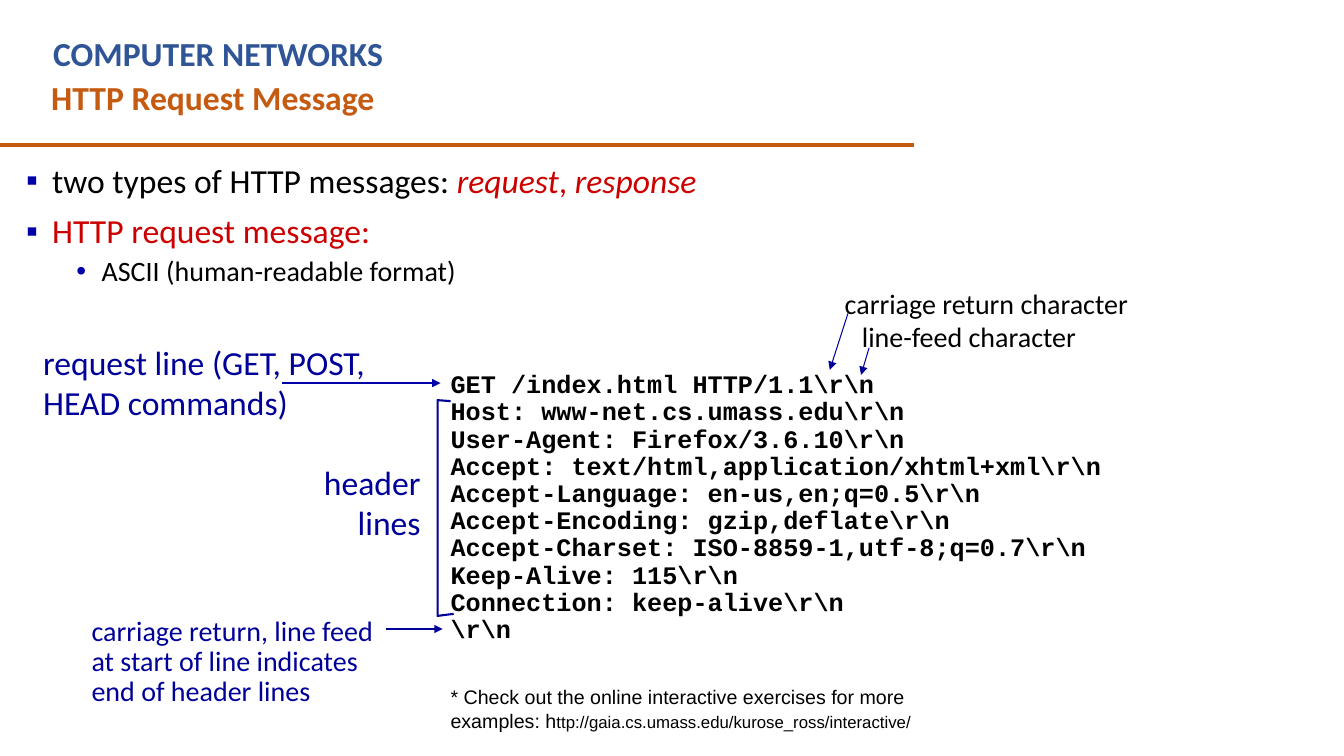
from lxml import etree
from pptx import Presentation
from pptx.dml.color import RGBColor
from pptx.enum.shapes import MSO_CONNECTOR
from pptx.enum.text import PP_ALIGN
from pptx.oxml.ns import qn
from pptx.util import Inches, Pt

STRAIGHT = MSO_CONNECTOR.STRAIGHT
RIGHT = PP_ALIGN.RIGHT

BLACK = RGBColor(0x00, 0x00, 0x00)
ORANGE = RGBColor(0xC5, 0x5A, 0x11)
TITLE_BLUE = RGBColor(0x2F, 0x55, 0x97)
NAVY = RGBColor(0x00, 0x00, 0x99)
ARROW_BLUE = RGBColor(0x00, 0x00, 0xA8)
RED = RGBColor(0xCC, 0x00, 0x00)

REQUEST_LINES = [
    r"GET /index.html HTTP/1.1\r\n",
    r"Host: www-net.cs.umass.edu\r\n",
    r"User-Agent: Firefox/3.6.10\r\n",
    r"Accept: text/html,application/xhtml+xml\r\n",
    r"Accept-Language: en-us,en;q=0.5\r\n",
    r"Accept-Encoding: gzip,deflate\r\n",
    r"Accept-Charset: ISO-8859-1,utf-8;q=0.7\r\n",
    r"Keep-Alive: 115\r\n",
    r"Connection: keep-alive\r\n",
    r"\r\n",
]


def add_run(paragraph, text, size, color, font="Calibri", bold=False, italic=False):
    """Append one formatted run to a paragraph."""
    run = paragraph.add_run()
    run.text = text
    run.font.name = font
    run.font.size = Pt(size)
    run.font.color.rgb = color
    run.font.bold = bold
    run.font.italic = italic


def set_indent(paragraph, margin, hanging):
    """Give a paragraph a left margin and a hanging first line."""
    properties = paragraph._p.get_or_add_pPr()
    properties.set("marL", str(Inches(margin)))
    properties.set("indent", str(-Inches(hanging)))
    return properties


def set_bullet(paragraph, character, color, margin, hanging):
    """Give a paragraph a coloured bullet character."""
    properties = set_indent(paragraph, margin, hanging)
    bullet_color = etree.SubElement(properties, qn("a:buClr"))
    etree.SubElement(bullet_color, qn("a:srgbClr")).set("val", str(color))
    etree.SubElement(properties, qn("a:buFont")).set("typeface", "Arial")
    etree.SubElement(properties, qn("a:buChar")).set("char", character)


def add_text_frame(slide, left, top, width, height, wrap=True):
    """Add an empty text box and return its text frame."""
    shape = slide.shapes.add_textbox(Inches(left), Inches(top), Inches(width), Inches(height))
    shape.text_frame.word_wrap = wrap
    return shape.text_frame


def add_lines(frame, lines, size, color, font="Calibri", bold=False,
              align=None, spacing=None, hanging=0):
    """Fill a text frame with one paragraph for each line."""
    for index, text in enumerate(lines):
        paragraph = frame.add_paragraph() if index else frame.paragraphs[0]
        if hanging:
            set_indent(paragraph, hanging, hanging)
        if align is not None:
            paragraph.alignment = align
        if spacing:
            paragraph.line_spacing = spacing
        add_run(paragraph, text, size, color, font, bold)


def add_line(slide, start, end, color, width, arrow=False):
    """Draw a straight line, with an arrowhead at its end if asked."""
    points = [Inches(value) for value in (*start, *end)]
    connector = slide.shapes.add_connector(STRAIGHT, *points)
    connector.line.color.rgb = color
    connector.line.width = Pt(width)
    if arrow:
        outline = connector.line._get_or_add_ln()
        etree.SubElement(outline, qn("a:tailEnd")).set("type", "triangle")
    etree.SubElement(connector._element.spPr, qn("a:effectLst"))


def add_header(slide, left, top):
    """Place the course name, the topic and the rule under them."""
    add_lines(add_text_frame(slide, left + 0.43, top, 8.2, 0.5),
              ["COMPUTER NETWORKS"], 24, TITLE_BLUE, bold=True)
    add_lines(add_text_frame(slide, left + 0.41, top + 0.43, 8.75, 0.5),
              ["HTTP Request Message"], 24, ORANGE, bold=True)
    add_line(slide, (left, top + 1.16), (left + 9.07, top + 1.16), ORANGE, 3)


def add_bullets(slide, left, top, width, height):
    """Place the introductory bullet list."""
    frame = add_text_frame(slide, left, top, width, height)
    bullets = [
        ("▪", 0.26, 0.26, 0, 24, [("two types of HTTP messages: ", BLACK, False),
                                  ("request", RED, True), (", ", RED, False),
                                  ("response", RED, True)]),
        ("▪", 0.26, 0.26, 10, 24, [("HTTP request message:", RED, False)]),
        ("•", 0.75, 0.25, 5, 20, [("ASCII (human-readable format)", BLACK, False)]),
    ]
    for index, (character, margin, hanging, before, size, runs) in enumerate(bullets):
        paragraph = frame.add_paragraph() if index else frame.paragraphs[0]
        paragraph.line_spacing = 0.9
        paragraph.space_before = Pt(before)
        set_bullet(paragraph, character, ARROW_BLUE, margin, hanging)
        for text, color, italic in runs:
            add_run(paragraph, text, size, color, italic=italic)


def add_bracket(slide, left, top, height):
    """Draw the open bracket that spans the header lines."""
    corners = [(left, top), (left, top + height), (left + 0.16, top + height - 0.02)]
    builder = slide.shapes.build_freeform(Inches(left + 0.13), Inches(top + 0.01))
    builder.add_line_segments([(Inches(x), Inches(y)) for x, y in corners], close=False)
    bracket = builder.convert_to_shape()
    bracket.shadow.inherit = False
    bracket.fill.background()
    bracket.line.color.rgb = NAVY
    bracket.line.width = Pt(1.5)


def add_message(slide, left, top):
    """Place the request text with the labels at its left side."""
    add_lines(add_text_frame(slide, left - 4.04, top - 0.3, 3.46, 0.91),
              ["request line (GET, POST,", "HEAD commands)"], 24, NAVY)
    add_bracket(slide, left - 0.03, top + 0.33, 2.14)
    add_lines(add_text_frame(slide, left - 1.27, top + 0.89, 1.17, 0.91, wrap=False),
              ["header", "lines"], 24, NAVY, align=RIGHT)
    add_line(slide, (left - 0.54, top + 2.6), (left + 0.02, top + 2.6), NAVY, 1.5, arrow=True)
    add_lines(add_text_frame(slide, left - 3.56, top + 2.43, 3.03, 1.01),
              ["carriage return, line feed at start of line indicates end of header lines"],
              20, NAVY, spacing=0.9)
    add_lines(add_text_frame(slide, left, top, 6.72, 2.83, wrap=False), REQUEST_LINES,
              18, BLACK, "Courier New", bold=True, spacing=0.9, hanging=0.38)
    add_line(slide, (left - 1.57, top + 0.16), (left, top + 0.16), ARROW_BLUE, 1.5, arrow=True)


def add_line_end_labels(slide, left, top):
    """Place the labels that point at the line-ending characters."""
    add_line(slide, (left + 0.13, top + 0.32), (left - 0.05, top + 0.88), NAVY, 0.75, arrow=True)
    add_lines(add_text_frame(slide, left, top, 3.04, 0.44, wrap=False),
              ["carriage return character"], 20, BLACK, hanging=0.38)
    add_lines(add_text_frame(slide, left + 0.17, top + 0.33, 2.35, 0.44, wrap=False),
              ["line-feed character"], 20, BLACK, hanging=0.38)
    add_line(slide, (left + 0.34, top + 0.66), (left + 0.26, top + 0.93), NAVY, 0.75, arrow=True)


def add_footnote(slide, left, top, width, height):
    """Place the note on the online exercises."""
    paragraph = add_text_frame(slide, left, top, width, height).paragraphs[0]
    add_run(paragraph, "* Check out the online interactive exercises for more examples: h",
            14, BLACK, "Arial")
    add_run(paragraph, "ttp://gaia.cs.umass.edu/kurose_ross/interactive/", 12, BLACK, "Arial")


def main():
    """Build the slide and save it."""
    presentation = Presentation()
    presentation.slide_width = Inches(13.33)
    presentation.slide_height = Inches(7.5)
    slide = presentation.slides.add_slide(presentation.slide_layouts[6])
    add_header(slide, 0, 0.28)
    add_bullets(slide, 0.16, 1.58, 8.48, 1.56)
    add_message(slide, 4.37, 3.64)
    add_line_end_labels(slide, 8.28, 2.79)
    add_footnote(slide, 4.37, 6.75, 4.93, 0.57)
    presentation.save("out.pptx")


if __name__ == "__main__":
    main()
